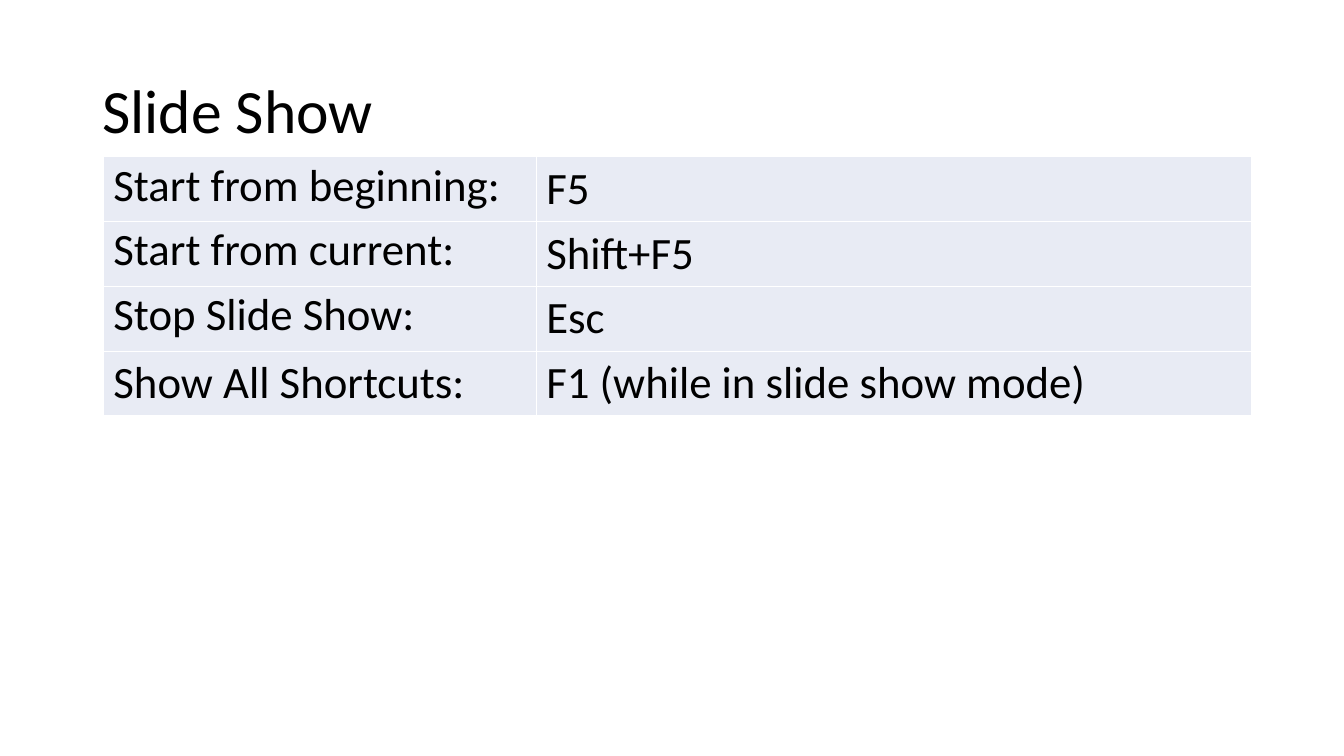
"""Build a slide listing the slide show keyboard shortcuts."""
from typing import NamedTuple

from lxml.etree import SubElement
from pptx import Presentation
from pptx.dml.color import RGBColor
from pptx.enum.text import MSO_ANCHOR, MSO_AUTO_SIZE, PP_ALIGN
from pptx.oxml.ns import qn
from pptx.table import _Cell
from pptx.text.text import _Paragraph
from pptx.util import Pt

BLACK = RGBColor(0x00, 0x00, 0x00)
WHITE = RGBColor(0xFF, 0xFF, 0xFF)
PALE_BLUE = RGBColor(0xE8, 0xEB, 0xF4)
FONT = "Calibri"
BORDER_WIDTH = Pt(0.96)
ROW_HEIGHT = Pt(29.2)
COLUMN_WIDTHS = (Pt(309.2), Pt(510.9))


class Shortcut(NamedTuple):
    action: str
    keys: str
    action_spacing: float = 0.9


SHORTCUTS = (
    Shortcut("Start from beginning:", "F5"),
    Shortcut("Start from current:", "Shift+F5"),
    Shortcut("Stop Slide Show:", "Esc"),
    Shortcut("Show All Shortcuts:", "F1 (while in slide show mode)", 1.0),
)


def format_paragraph(paragraph: _Paragraph, size: float, spacing: float) -> None:
    paragraph.alignment = PP_ALIGN.LEFT
    paragraph.line_spacing = spacing
    paragraph.font.name = FONT
    paragraph.font.size = Pt(size)
    paragraph.font.color.rgb = BLACK


def add_borders(cell: _Cell) -> None:
    properties = cell._tc.get_or_add_tcPr()
    for side in ("a:lnL", "a:lnR", "a:lnT", "a:lnB"):
        border = SubElement(properties, qn(side), w=str(BORDER_WIDTH))
        SubElement(SubElement(border, qn("a:solidFill")), qn("a:srgbClr"), val=str(WHITE))


def fill_cell(cell: _Cell, text: str, spacing: float) -> None:
    cell.text = text
    format_paragraph(cell.text_frame.paragraphs[0], 32, spacing)
    add_borders(cell)
    cell.fill.solid()
    cell.fill.fore_color.rgb = PALE_BLUE


def main() -> None:
    presentation = Presentation()
    presentation.slide_width, presentation.slide_height = Pt(960), Pt(540)
    slide = presentation.slides.add_slide(presentation.slide_layouts[5])

    heading = slide.shapes.title
    heading.left, heading.top, heading.width, heading.height = Pt(66), Pt(28.75), Pt(828), Pt(104.4)
    heading.text = "Slide Show"
    heading.text_frame.auto_size = MSO_AUTO_SIZE.NONE
    heading.text_frame.vertical_anchor = MSO_ANCHOR.MIDDLE
    format_paragraph(heading.text_frame.paragraphs[0], 44, 0.9)

    shortcut_table = slide.shapes.add_table(
        len(SHORTCUTS), len(COLUMN_WIDTHS), Pt(73.8), Pt(111.8),
        sum(COLUMN_WIDTHS), ROW_HEIGHT * len(SHORTCUTS),
    ).table
    shortcut_table.first_row = False
    shortcut_table.horz_banding = False
    for column, width in zip(shortcut_table.columns, COLUMN_WIDTHS):
        column.width = width
    for row, shortcut in zip(shortcut_table.rows, SHORTCUTS):
        row.height = ROW_HEIGHT
        action_cell, keys_cell = row.cells
        fill_cell(action_cell, shortcut.action, shortcut.action_spacing)
        fill_cell(keys_cell, shortcut.keys, 1.0)

    presentation.save("out.pptx")


if __name__ == "__main__":
    main()
